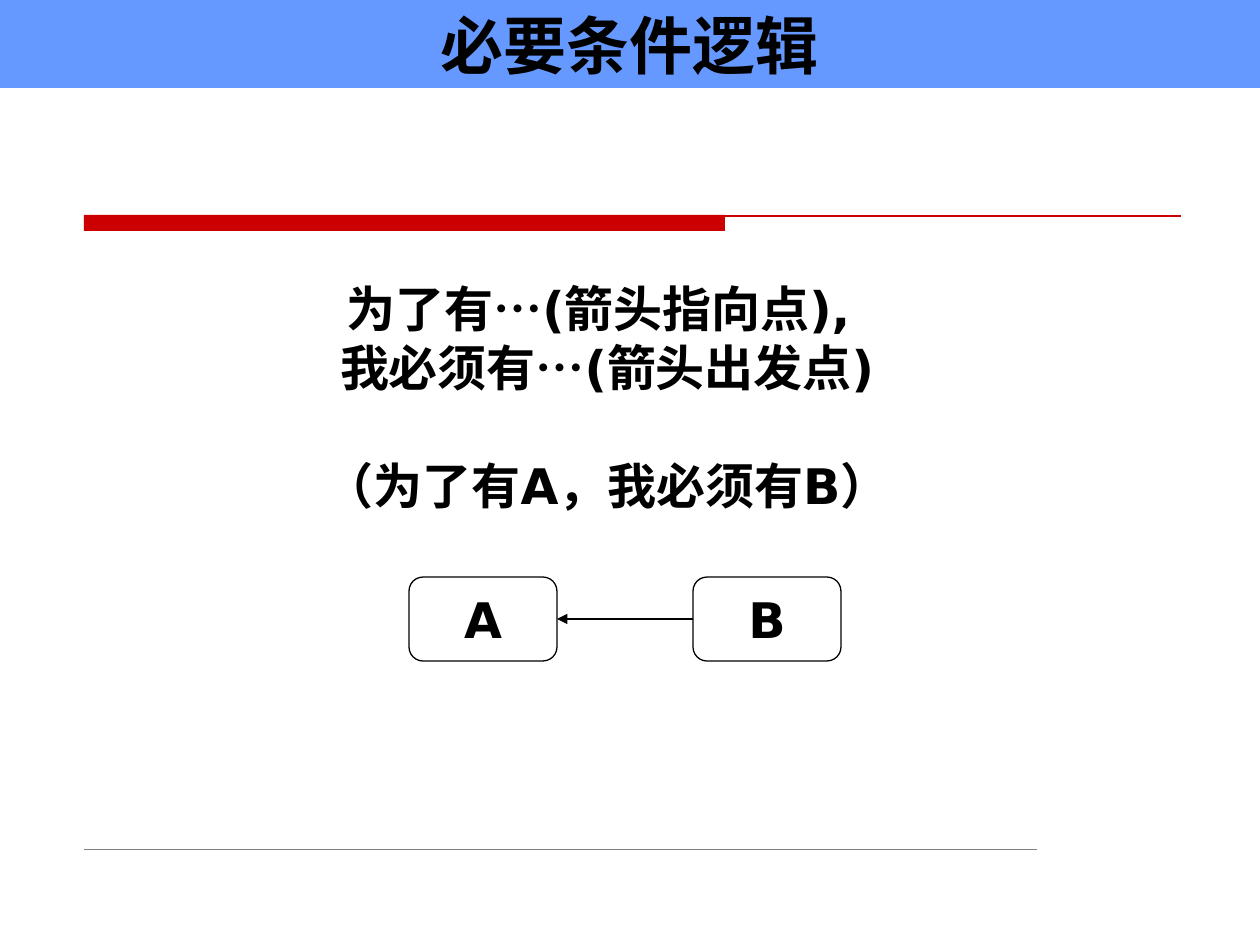
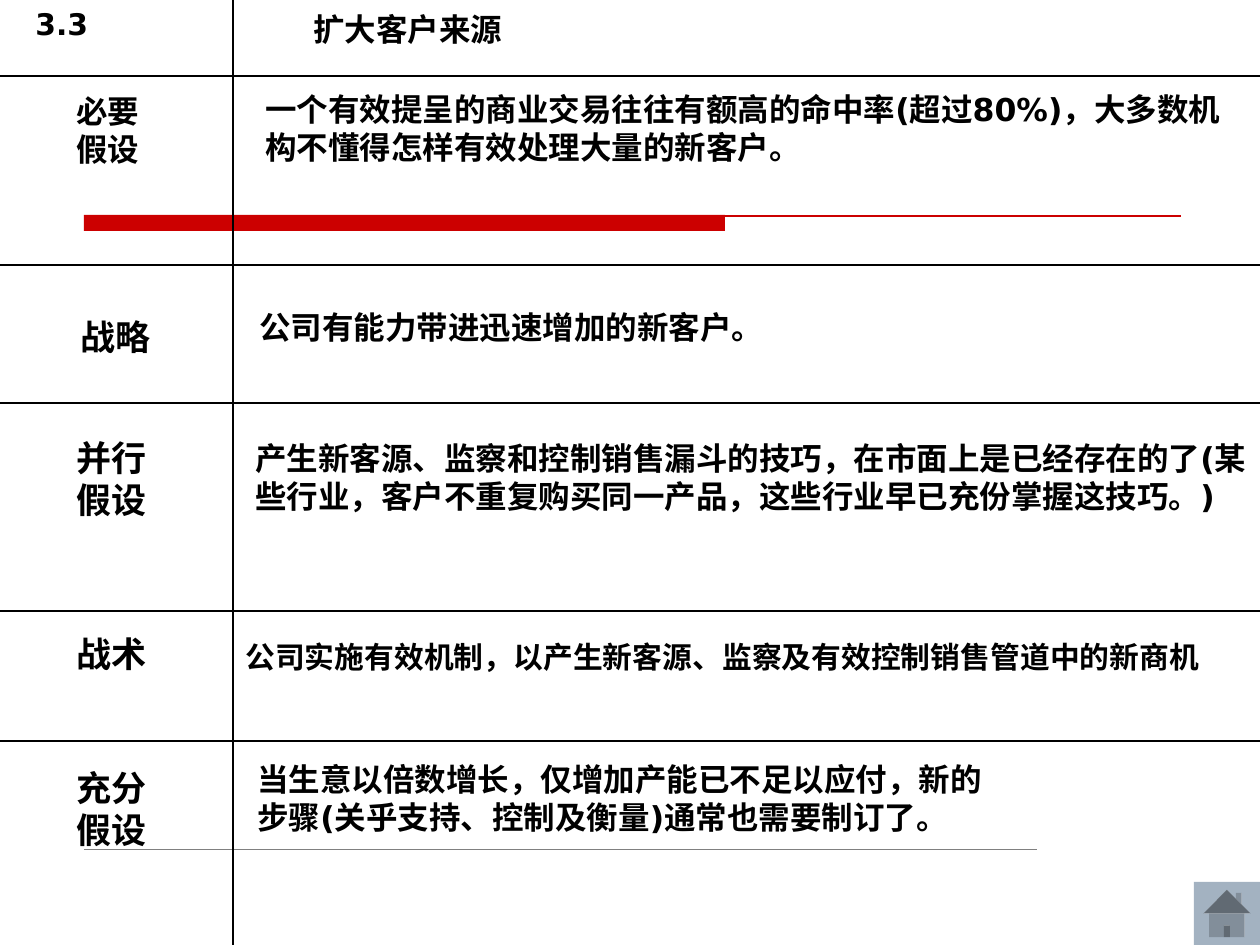
from dataclasses import dataclass

import lxml.etree
import pptx
import pptx.dml.color
import pptx.enum.lang
import pptx.enum.shapes
import pptx.enum.text
import pptx.oxml.ns
import pptx.util

SHAPES = pptx.enum.shapes.MSO_SHAPE
ALIGN = pptx.enum.text.PP_ALIGN
ANCHOR = pptx.enum.text.MSO_ANCHOR
WIDTH, HEIGHT = 1260, 945
PX_PER_INCH = 126


@dataclass(frozen=True)
class Theme:
    """Colours, font and type sizes of the presentation."""
    ink: str = "000000"
    accent: str = "CC0000"
    band: str = "6699FF"
    footer: str = "808080"
    button: str = "A3B2C1"
    font: str = "DejaVu Sans"
    title: int = 36
    logic: int = 28
    label: int = 20
    body: int = 18
    small: int = 17


THEME = Theme()


@dataclass(frozen=True)
class Row:
    """One row of the tree page, with text offsets from its cell corners."""
    top: int
    label: tuple
    label_at: tuple
    label_size: int
    body: str
    body_at: tuple
    body_size: int = THEME.body
    body_width: int = 0


ROWS = [
    Row(0, ("3.3",), (23, 0), THEME.small, "扩大客户来源", (68, 4)),
    Row(76, ("必要假设",), (64, 10), THEME.body,
        "一个有效提呈的商业交易往往有额高的命中率(超过80%)，大多数机构不懂得怎样有效处理大量的新客户。",
        (20, 8)),
    Row(265, ("战略",), (68, 44), THEME.label,
        "公司有能力带进迅速增加的新客户。", (14, 37)),
    Row(403, ("并行", "假设"), (64, 27), THEME.label,
        "产生新客源、监察和控制销售漏斗的技巧，在市面上是已经存在的了"
        "(某些行业，客户不重复购买同一产品，这些行业早已充份掌握这技巧。)", (10, 30)),
    Row(611, ("战术",), (64, 15), THEME.label,
        "公司实施有效机制，以产生新客源、监察及有效控制销售管道中的新商机", (0, 22), THEME.small),
    Row(741, ("充分假设",), (64, 19), THEME.label,
        "当生意以倍数增长，仅增加产能已不足以应付，新的步骤(关乎支持、控制及衡量)通常也需要制订了。",
        (12, 13), body_width=760),
]


def px(length):
    """Turn pixels into EMU."""
    return pptx.util.Emu(round(length * 914400 / PX_PER_INCH))


def colour(value):
    """Return an RGB colour from its hex code."""
    return pptx.dml.color.RGBColor.from_string(value)


def write(shape, lines, size, align=ALIGN.LEFT, anchor=ANCHOR.TOP):
    """Write bold lines into a shape; each is a text or a text with space before."""
    frame = shape.text_frame
    frame.word_wrap = True
    frame.vertical_anchor = anchor
    for index, line in enumerate(lines):
        text, gap = line if isinstance(line, tuple) else (line, 0)
        paragraph = frame.paragraphs[0] if index == 0 else frame.add_paragraph()
        paragraph.alignment = align
        if gap:
            paragraph.space_before = pptx.util.Pt(gap)
        run = paragraph.add_run()
        run.text = text
        run.font.name = THEME.font
        run.font.size = pptx.util.Pt(size)
        run.font.bold = True
        run.font.color.rgb = colour(THEME.ink)
        run.font.language_id = pptx.enum.lang.MSO_LANGUAGE_ID.SIMPLIFIED_CHINESE


def add_text(slide, box, lines, size, align=ALIGN.LEFT):
    """Add a text box."""
    shape = slide.shapes.add_textbox(*map(px, box))
    write(shape, lines, size, align)


def add_shape(slide, kind, box, fill=None, line=None):
    """Add a flat preset shape."""
    shape = slide.shapes.add_shape(kind, *map(px, box))
    shape.shadow.inherit = False
    if fill:
        shape.fill.solid()
        shape.fill.fore_color.rgb = colour(fill)
    else:
        shape.fill.background()
    if line:
        shape.line.color.rgb = colour(line)
        shape.line.width = pptx.util.Pt(0.75)
    else:
        shape.line.fill.background()
    return shape


def add_line(slide, start, end, line=THEME.ink, width=0.75, arrow=False):
    """Add a straight line, with an arrowhead at its end if asked."""
    connector = slide.shapes.add_connector(
        pptx.enum.shapes.MSO_CONNECTOR.STRAIGHT, *map(px, start + end))
    connector.line.color.rgb = colour(line)
    connector.line.width = pptx.util.Pt(width)
    if arrow:
        lxml.etree.SubElement(connector.line._get_or_add_ln(),
                              pptx.oxml.ns.qn("a:tailEnd"), type="triangle")
    lxml.etree.SubElement(connector._element.spPr, pptx.oxml.ns.qn("a:effectLst"))


def add_base(presentation):
    """Add a slide with the shared red bar and footer rule."""
    slide = presentation.slides.add_slide(presentation.slide_layouts[6])
    add_shape(slide, SHAPES.RECTANGLE, (84, 215, 641, 16), THEME.accent)
    add_line(slide, (84, 216), (1181, 216), THEME.accent)
    add_line(slide, (84, 849), (1037, 849), THEME.footer, 0.25)
    return slide


def add_title_band(slide, box, text):
    """Add the blue title band."""
    band = add_shape(slide, SHAPES.RECTANGLE, box, THEME.band)
    write(band, [text], THEME.title, ALIGN.CENTER)


def add_condition_diagram(slide, box):
    """Draw B pointing at A across the given box."""
    left, top, width, height = box
    node_width = 148
    b_left = left + width - node_width
    for name, node_left in (("A", left), ("B", b_left)):
        node = add_shape(slide, SHAPES.ROUNDED_RECTANGLE,
                         (node_left, top, node_width, height), line=THEME.ink)
        write(node, [name], THEME.logic, ALIGN.CENTER, ANCHOR.MIDDLE)
    middle = top + height // 2
    add_line(slide, (b_left, middle), (left + node_width, middle), arrow=True)


def add_logic_slide(presentation):
    """Build the slide on necessary-condition logic."""
    slide = add_base(presentation)
    add_title_band(slide, (0, 0, WIDTH, 88), "必要条件逻辑")
    add_condition_diagram(slide, (409, 577, 432, 84))
    add_text(slide, (302, 272, 610, 307),
             ["为了有…(箭头指向点), ", "我必须有…(箭头出发点)", ("（为了有A，我必须有B）", 34)],
             THEME.logic, ALIGN.CENTER)


def add_grid(slide, box, rows, divider):
    """Draw the ruled rows with labels left and texts right of the divider."""
    left, top, width, height = box
    split = left + divider
    add_line(slide, (split, top), (split, top + height))
    bottoms = [row.top for row in rows[1:]] + [height]
    for row, bottom in zip(rows, bottoms):
        row_top = top + row.top
        if row.top:
            add_line(slide, (left, row_top), (left + width, row_top))
        label_x, label_y = row.label_at
        body_x, body_y = row.body_at
        row_height = bottom - row.top
        add_text(slide, (left + label_x, row_top + label_y, 103, row_height - label_y),
                 row.label, row.label_size)
        body_width = row.body_width or width - divider - body_x
        add_text(slide, (split + body_x, row_top + body_y, body_width, row_height - body_y),
                 [row.body], row.body_size)


def add_tree_slide(presentation):
    """Build the slide on widening the sources of customers."""
    slide = add_base(presentation)
    add_grid(slide, (0, 0, WIDTH, HEIGHT), ROWS, 233)
    add_shape(slide, SHAPES.ACTION_BUTTON_HOME, (1194, 882, 66, 63), THEME.button)


def main():
    """Build and save the presentation."""
    presentation = pptx.Presentation()
    presentation.slide_width = px(WIDTH)
    presentation.slide_height = px(HEIGHT)
    add_logic_slide(presentation)
    add_tree_slide(presentation)
    presentation.save("out.pptx")


if __name__ == "__main__":
    main()
